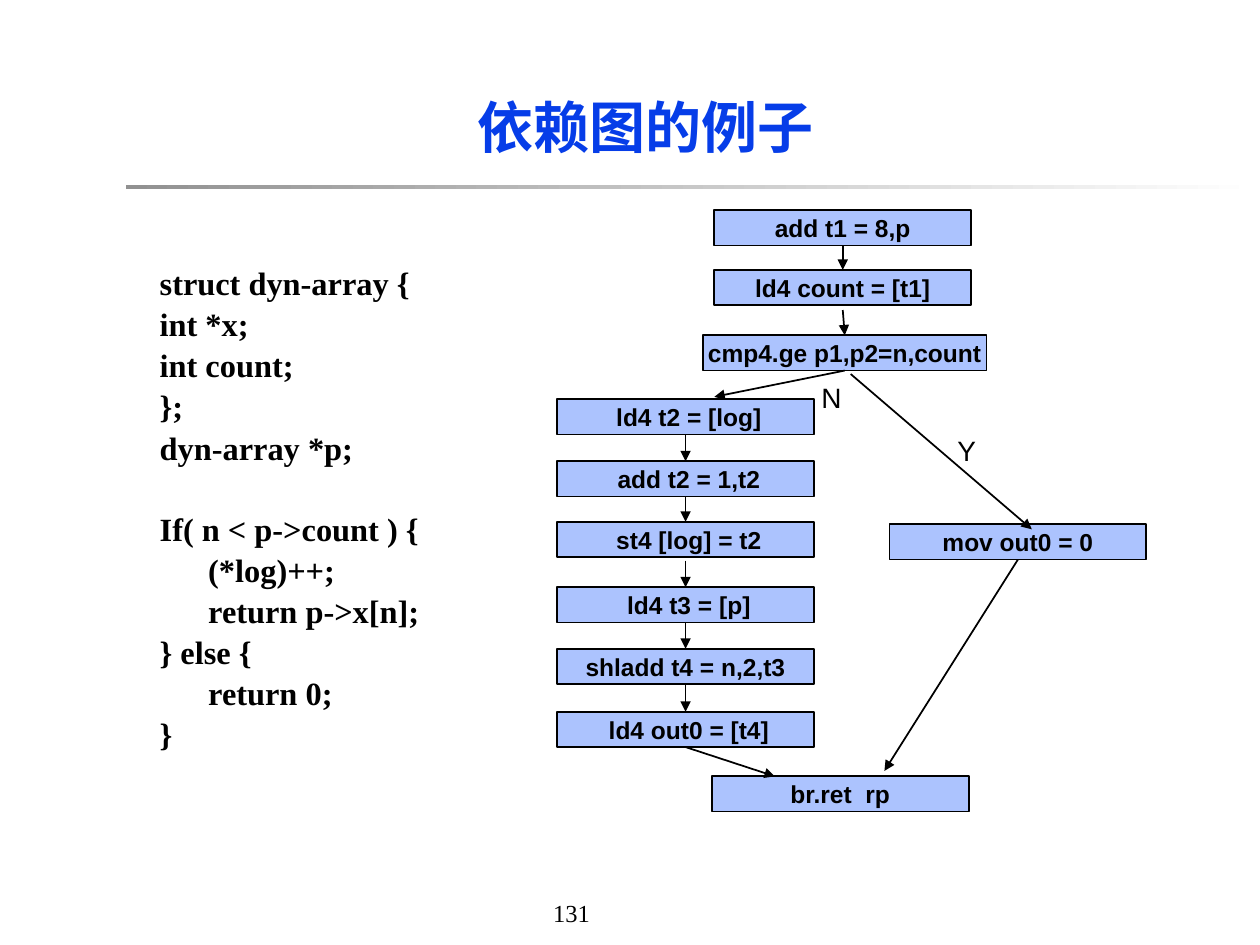
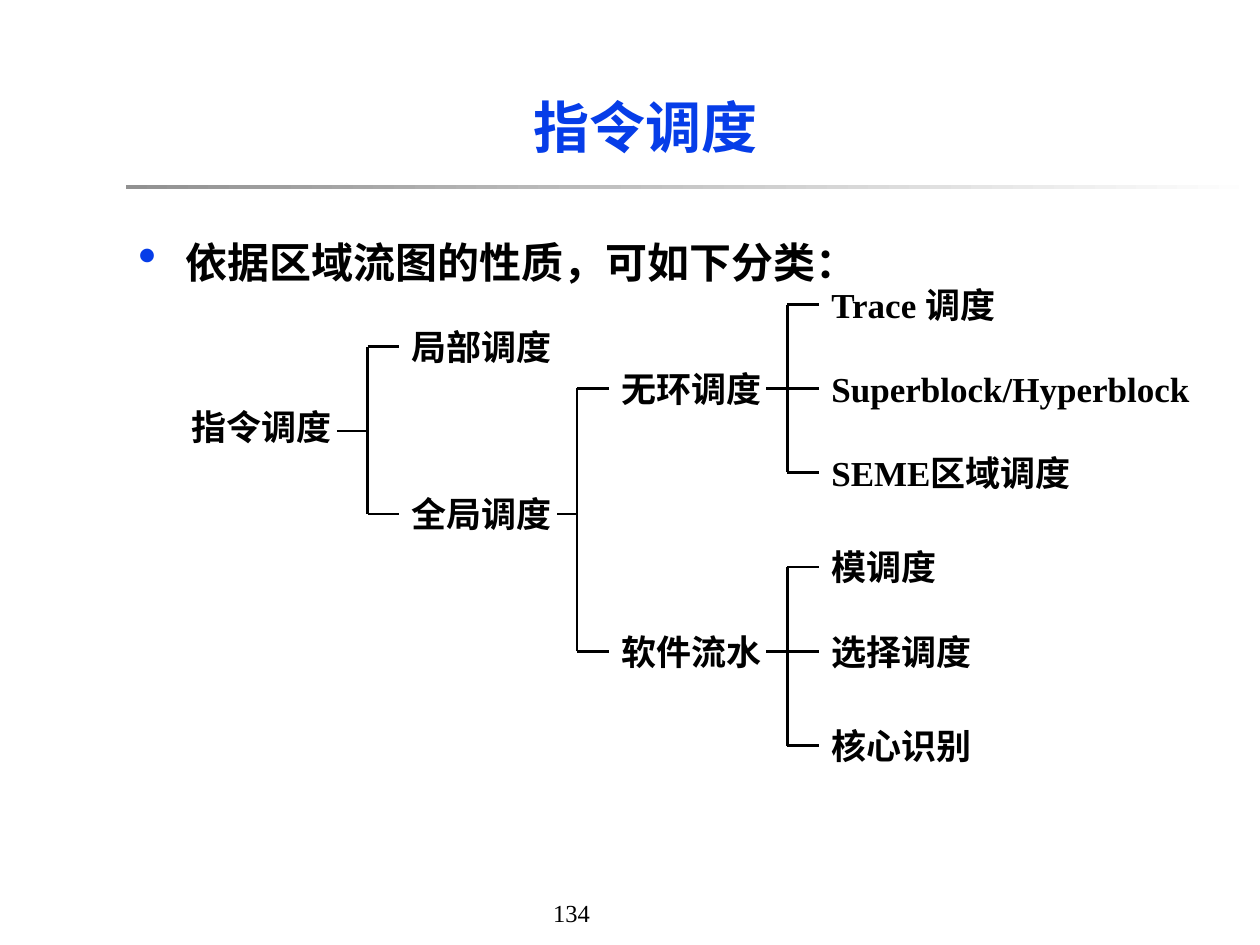
from dataclasses import dataclass

from lxml.etree import SubElement
from pptx import Presentation
from pptx.dml.color import RGBColor
from pptx.enum.shapes import MSO_CONNECTOR as Line, MSO_SHAPE as Shape
from pptx.enum.text import MSO_ANCHOR as Anchor, PP_ALIGN as Align
from pptx.oxml.ns import qn
from pptx.util import Cm, Pt


@dataclass(frozen=True)
class Theme:
    black: str = "000000"
    blue: str = "063DE8"
    box: str = "ACC3FE"
    rule: str = "919191"
    white: str = "FFFFFF"
    serif: str = "Times New Roman"
    sans: str = "Arial"
    title: float = 32
    bullet: float = 24
    tree: float = 20
    code: float = 18.5
    branch: float = 16
    small: float = 14


@dataclass(frozen=True)
class Node:
    text: str
    y: float
    children: tuple = ()
    label_y: float = 0  # only where the label sits off its stem


T = Theme()

# ---- Content (lengths in cm) ----
CODE_BLOCKS = [
    ["struct dyn-array {", "int *x;", "int count;", "};", "dyn-array *p;"],
    ["If( n < p->count ) {", "      (*log)++;", "      return p->x[n];",
     "} else {", "      return 0;", "}"],
]
CODE_GAP, CODE_LINE = 5.75, 22.75  # points

BOX_W, WIDE_BOX_W, BOX_H = 5.18, 5.72, 0.71
TOP_X, LEFT_X = 16.99, 13.82
INSTRUCTIONS = {  # name: (text, centre x, top, width)
    "addr": ("add t1 = 8,p", TOP_X, 4.24, BOX_W),
    "count": ("ld4 count = [t1]", TOP_X, 5.44, BOX_W),
    "cmp": ("cmp4.ge p1,p2=n,count", TOP_X + 0.04, 6.76, WIDE_BOX_W),
    "load_log": (" ld4 t2 = [log]", LEFT_X, 8.05, BOX_W),
    "inc": (" add t2 = 1,t2", LEFT_X, 9.3, BOX_W),
    "store_log": (" st4 [log] = t2", LEFT_X, 10.52, BOX_W),
    "load_x": (" ld4 t3 = [p]", LEFT_X, 11.84, BOX_W),
    "index": ("shladd t4 = n,2,t3", LEFT_X, 13.08, BOX_W),
    "load_out": (" ld4 out0 = [t4]", LEFT_X, 14.35, BOX_W),
    "zero": ("mov out0 = 0", 20.52, 10.57, BOX_W),
    "ret": ("br.ret  rp", 16.94, 15.65, BOX_W),
}
DEPENDENCES = [  # a name joins a box (bottom to top), a pair is a free point
    ("addr", "count"),
    ((TOP_X, 6.25), "cmp"),
    ("cmp", (14.4, 8.0)),
    ("load_log", "inc"),
    ("inc", "store_log"),
    ((LEFT_X, 11.3), "load_x"),
    ("load_x", "index"),
    ("index", "load_out"),
    ("load_out", (15.62, 15.65)),
    ((17.15, 7.54), (20.8, 10.67)),
    ("zero", (17.83, 15.54)),
]
BRANCHES = [("Y", 19.05, 8.61), ("N", 16.31, 7.54)]

SCHEDULING = Node("指令调度", 8.69, (
    Node("局部调度", 6.99),
    Node("全局调度", 10.36, (
        Node("无环调度", 7.83, (
            Node("Trace 调度", 6.14),
            Node("Superblock/Hyperblock", 7.83),
            Node("SEME区域调度", 9.52),
        )),
        Node("软件流水", 13.13, (
            Node("模调度", 11.43),
            Node("选择调度", 13.13),
            Node("核心识别", 15.03),
        )),
    )),
), label_y=8.59)
LABEL_X = [3.61, 8.05, 12.27, 16.51]
LABEL_W, LEAF_W, LABEL_H, TWIG = 3.18, 7.82, 0.85, 0.64


# ---- Helpers ----
def rgb(value):
    return RGBColor.from_string(value)


def add_run(p, text, size, font=T.serif, color=T.black, bold=True):
    r = p.add_run()
    r.text = text
    r.font.size, r.font.name, r.font.bold = Pt(size), font, bold
    r.font.color.rgb = rgb(color)


def add_text(s, x, y, w, h, text, size, anchor=Anchor.TOP, align=Align.LEFT, **style):
    """Add a wrapping text box with one paragraph and return its text frame."""
    tf = s.shapes.add_textbox(Cm(x), Cm(y), Cm(w), Cm(h)).text_frame
    tf.word_wrap, tf.vertical_anchor = True, anchor
    p = tf.paragraphs[0]
    p.alignment = align
    add_run(p, text, size, **style)
    return tf


def add_line(s, start, end, width, arrow=False):
    c = s.shapes.add_connector(Line.STRAIGHT, *(Cm(v) for v in (*start, *end)))
    c.line.color.rgb, c.line.width = rgb(T.black), Pt(width)
    if arrow:
        SubElement(c.line._get_or_add_ln(), qn("a:tailEnd"), type="triangle")
    SubElement(c._element.spPr, qn("a:effectLst"))
    return c


def add_slide(prs, title, number):
    """Add a slide with the shared title, fading rule and page number."""
    s = prs.slides.add_slide(prs.slide_layouts[6])
    add_text(s, 10.9, 17.98, 2.59, 0.84, number, T.small, bold=False)
    rule = s.shapes.add_shape(Shape.RECTANGLE, Cm(2.54), Cm(3.73), Cm(22.86), Cm(0.08))
    rule.shadow.inherit = False
    rule.line.fill.background()
    rule.fill.gradient()
    rule.fill.gradient_angle = 0
    for stop, color, position in zip(rule.fill.gradient_stops, (T.rule, T.white), (0, 1)):
        stop.color.rgb, stop.position = rgb(color), position
    add_text(s, 2.54, 1.27, 20.96, 2.54, title, T.title,
             Anchor.MIDDLE, Align.CENTER, color=T.blue)
    return s


# ---- Dependence graph ----
def add_code(s):
    tf = s.shapes.add_textbox(Cm(2.97), Cm(5.33), Cm(8.71), Cm(10.31)).text_frame
    tf.word_wrap = True
    p = tf.paragraphs[0]
    for block_no, block in enumerate(CODE_BLOCKS):
        for line_no, line in enumerate(block):
            if block_no or line_no:
                p = tf.add_paragraph()
                p.space_before = Pt(CODE_GAP if line_no else CODE_GAP + CODE_LINE)
            p.line_spacing = 0.8
            add_run(p, line, T.code)


def add_instruction(s, text, center, top, width):
    sp = s.shapes.add_shape(Shape.RECTANGLE, Cm(center - width / 2), Cm(top),
                            Cm(width), Cm(BOX_H))
    sp.shadow.inherit = False
    sp.fill.solid()
    sp.fill.fore_color.rgb = rgb(T.box)
    sp.line.color.rgb, sp.line.width = rgb(T.black), Pt(1)
    tf = sp.text_frame
    tf.word_wrap, tf.vertical_anchor = False, Anchor.MIDDLE
    p = tf.paragraphs[0]
    p.alignment = Align.CENTER
    add_run(p, text, T.small, font=T.sans)
    return sp


def add_dependence(s, boxes, start, end):
    def point(place, drop):
        if place not in boxes:
            return place
        _, center, top, _ = INSTRUCTIONS[place]
        return center, top + drop

    c = add_line(s, point(start, BOX_H), point(end, 0), 1, arrow=True)
    if start in boxes:
        c.begin_connect(boxes[start], 2)
    if end in boxes:
        c.end_connect(boxes[end], 0)


def dependence_slide(prs):
    s = add_slide(prs, "依赖图的例子", "131")
    add_code(s)
    boxes = {name: add_instruction(s, *box) for name, box in INSTRUCTIONS.items()}
    for start, end in DEPENDENCES:
        add_dependence(s, boxes, start, end)
    for text, x, y in BRANCHES:
        add_text(s, x, y, 1.07, 0.94, text, T.branch, font=T.sans, bold=False)


# ---- Classification tree ----
def add_tree(s, node, level=0):
    """Draw a label, then its stem, bracket and children one level to the right."""
    x, width = LABEL_X[level], LABEL_W if level < len(LABEL_X) - 1 else LEAF_W
    tf = add_text(s, x, (node.label_y or node.y) - LABEL_H / 2, width, LABEL_H,
                  node.text, T.tree, Anchor.MIDDLE)
    tf.margin_right = 0
    if not node.children:
        return
    child_x = LABEL_X[level + 1]
    bracket = child_x - TWIG
    ys = [child.y for child in node.children]
    add_line(s, (x + LABEL_W, node.y), (bracket, node.y), 1.5)
    add_line(s, (bracket, ys[0]), (bracket, ys[-1]), 1.5)
    for child in node.children:
        add_line(s, (bracket, child.y), (child_x, child.y), 1.5)
        add_tree(s, child, level + 1)


def scheduling_slide(prs):
    s = add_slide(prs, "指令调度", "134")
    tf = add_text(s, 2.54, 4.65, 20.96, 1.4, "依据区域流图的性质，可如下分类：", T.bullet)
    pPr = tf.paragraphs[0]._p.get_or_add_pPr()
    pPr.set("marL", str(Cm(0.95)))
    pPr.set("indent", str(Cm(-0.95)))
    SubElement(SubElement(pPr, qn("a:buClr")), qn("a:srgbClr"), val=T.blue)
    SubElement(pPr, qn("a:buSzPct"), val="125000")
    SubElement(pPr, qn("a:buChar"), char="•")
    add_tree(s, SCHEDULING)


def main():
    prs = Presentation()
    prs.slide_width, prs.slide_height = Cm(25.4), Cm(19.05)
    dependence_slide(prs)
    scheduling_slide(prs)
    prs.save("out.pptx")


if __name__ == "__main__":
    main()
